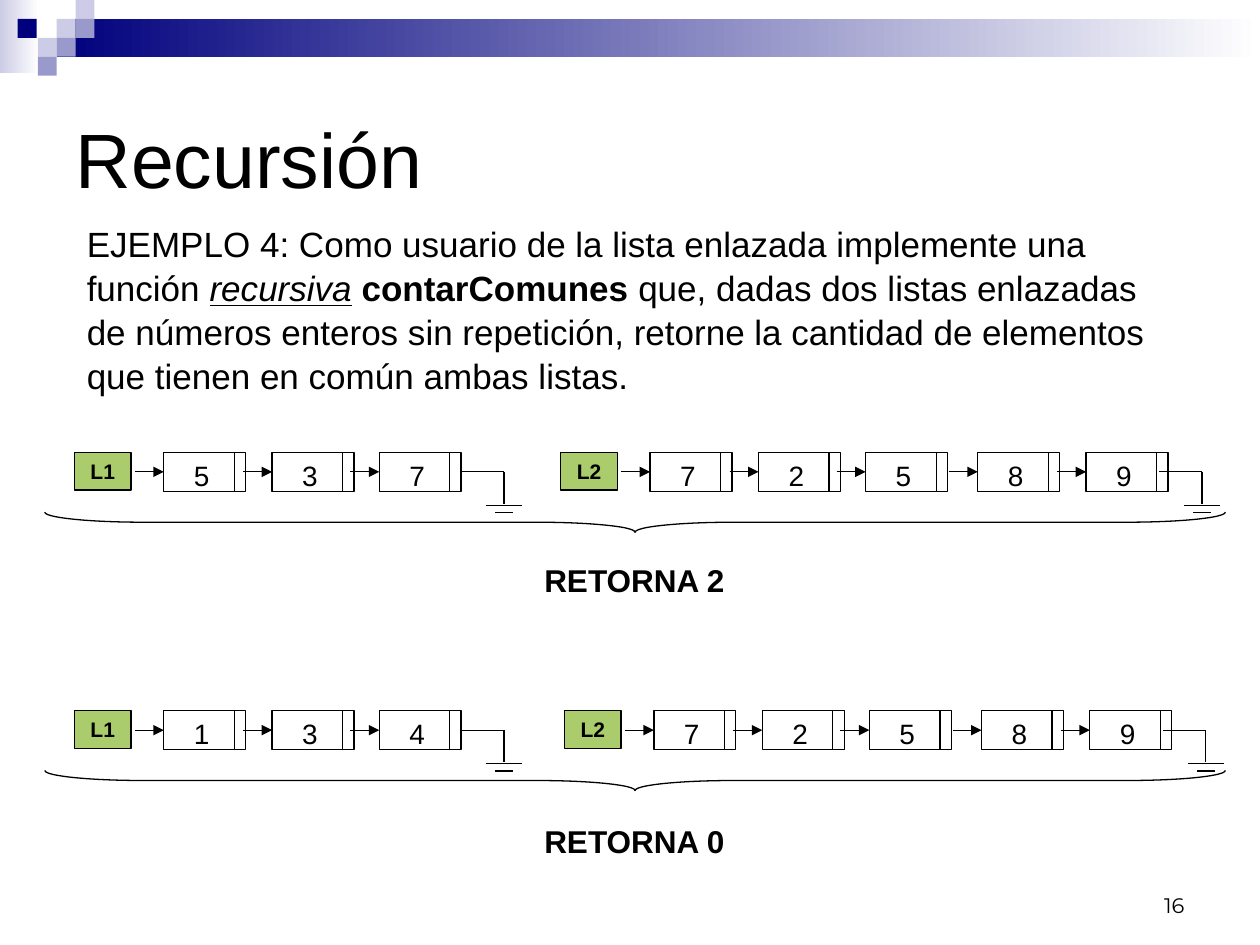
from lxml import etree
from pptx import Presentation
from pptx.dml.color import RGBColor
from pptx.enum.shapes import MSO_CONNECTOR, MSO_SHAPE
from pptx.enum.text import MSO_ANCHOR, PP_ALIGN
from pptx.oxml.ns import qn
from pptx.util import Inches, Pt

RECT, BRACE = MSO_SHAPE.RECTANGLE, MSO_SHAPE.RIGHT_BRACE
STRAIGHT = MSO_CONNECTOR.STRAIGHT
TOP, MIDDLE, BOTTOM = MSO_ANCHOR.TOP, MSO_ANCHOR.MIDDLE, MSO_ANCHOR.BOTTOM
LEFT, CENTER, RIGHT = PP_ALIGN.LEFT, PP_ALIGN.CENTER, PP_ALIGN.RIGHT
COLORS = {k: RGBColor.from_string(v) for k, v in {
    "black": "000000", "white": "FFFFFF", "green": "AACC6C",
    "navy": "00007D", "lilac": "CCCCE6", "violet": "9999CC"}.items()}

prs = Presentation()
prs.slide_width, prs.slide_height = Inches(10), Inches(7.5)
s = prs.slides.add_slide(prs.slide_layouts[5])


def add_box(x, y, w, h, fill, text="", size=16, bold=False, outline=True):
    sp = s.shapes.add_shape(RECT, Inches(x), Inches(y), Inches(w), Inches(h))
    sp.shadow.inherit = False
    sp.fill.solid()
    sp.fill.fore_color.rgb = COLORS[fill]
    if outline:
        sp.line.color.rgb = COLORS["black"]
        sp.line.width = Pt(0.75)
    else:
        sp.line.fill.background()
    if text:
        tf = sp.text_frame
        tf.vertical_anchor = TOP
        p = tf.paragraphs[0]
        p.text = text
        p.alignment = CENTER
        p.font.name, p.font.size, p.font.bold = "Arial", Pt(size), bold
        p.font.color.rgb = COLORS["black"]
    return sp


def add_line(x1, y1, x2, y2, arrow=False):
    cx = s.shapes.add_connector(STRAIGHT, Inches(x1), Inches(y1), Inches(x2), Inches(y2))
    cx.line.color.rgb = COLORS["black"]
    cx.line.width = Pt(0.75)
    if arrow:
        etree.SubElement(cx.line._get_or_add_ln(), qn("a:tailEnd"), type="triangle")
    etree.SubElement(cx._element.spPr, qn("a:effectLst"))
    return cx


for x, y, w, h, start in [(0, 0, 0.31, 0.58, "lilac"), (0.45, 0.15, 9.55, 0.3, "navy")]:
    band = add_box(x, y, w, h, start, outline=False)
    band.fill.gradient()
    band.fill.gradient_angle = 0
    for stop, color, position in zip(band.fill.gradient_stops, (start, "white"), (0, 1)):
        stop.color.rgb = COLORS[color]
        stop.position = position

for x, y, color in [(0.45, 0.15, "lilac"), (0.6, 0, "lilac"), (0.6, 0.15, "violet"),
                    (0.3, 0.3, "lilac"), (0.14, 0.15, "navy"), (0.45, 0.3, "violet"),
                    (0.3, 0.45, "violet")]:
    add_box(x, y, 0.15, 0.15, color, outline=False)

title = s.shapes.title
title.left, title.top, title.width, title.height = (Inches(v) for v in (0.5, 0.5, 9, 1.5))
title.text_frame.text = "Recursión"
title.text_frame.vertical_anchor = MIDDLE
p = title.text_frame.paragraphs[0]
p.alignment = LEFT
p.font.name, p.font.size = "Arial", Pt(44)
p.font.color.rgb = COLORS["black"]

NODE_OFFSETS = [0.71, 1.57, 2.42, 3.31, 4.17]
LISTS = [
    ("L1", 0.59, 3.59, "537", 3.07), ("L2", 4.45, 3.59, "72589", 4.75),
    ("L1", 0.59, 5.64, "134", 3.07), ("L2", 4.48, 5.64, "72589", 4.75),
]
for name, left, top, values, ground in LISTS:
    add_box(left, top, 0.45, 0.3, "green", name, 12, True)
    mid = top + 0.155
    for value, offset in zip(values, NODE_OFFSETS):
        x = left + offset
        arrow = add_line(x - 0.23, mid, x, mid, arrow=True)
        node = add_box(x, top, 0.6, 0.31, "white", value)
        arrow.end_connect(node, 1)
        add_box(x + 0.56, top, 0.09, 0.31, "white")
    x = left + ground
    drop = x + 0.34
    add_line(x, mid, drop, mid)
    add_line(drop, mid, drop, top + 0.41)
    for half, dy in [(0.145, 0.42), (0.07, 0.48)]:
        add_line(drop - half, top + dy, drop + half, top + dy)

for y in (-0.54, 1.51):
    brace = s.shapes.add_shape(BRACE, Inches(4.96), Inches(y), Inches(0.16), Inches(9.37))
    brace.rotation = 90
    brace.adjustments[0], brace.adjustments[1] = 4.94, 0.5
    brace.shadow.inherit = False
    brace.fill.background()
    brace.line.color.rgb = COLORS["black"]
    brace.line.width = Pt(0.75)

STATEMENT = [
    ("EJEMPLO 4: Como usuario de la lista enlazada implemente una función ", ""),
    ("recursiva", "iu"), (" ", ""), ("contarComunes", "b"),
    (" que, dadas dos listas enlazadas de números enteros sin repetición, "
     "retorne la cantidad de elementos que tienen en común ambas listas.", "")]
TEXTS = [
    (0.59, 1.7, 8.82, 1.45, STATEMENT, 20, "Arial", LEFT, TOP, 1.05),
    (4.21, 4.39, 1.65, 0.41, [("RETORNA 2", "b")], 18, "Arial", CENTER, TOP, 1.05),
    (4.21, 6.46, 1.65, 0.41, [("RETORNA 0", "b")], 18, "Arial", CENTER, TOP, 1.05),
    (7.17, 6.83, 2.33, 0.5, [("16", "")], 12, "Montserrat", RIGHT, BOTTOM, 1),
]
for x, y, w, h, runs, size, font, align, anchor, spacing in TEXTS:
    tf = s.shapes.add_textbox(Inches(x), Inches(y), Inches(w), Inches(h)).text_frame
    tf.word_wrap = True
    tf.vertical_anchor = anchor
    p = tf.paragraphs[0]
    p.alignment, p.line_spacing = align, spacing
    p.font.name, p.font.size = font, Pt(size)
    p.font.color.rgb = COLORS["black"]
    for text, style in runs:
        r = p.add_run()
        r.text = text
        r.font.bold, r.font.italic, r.font.underline = (k in style for k in "biu")

prs.save("out.pptx")
